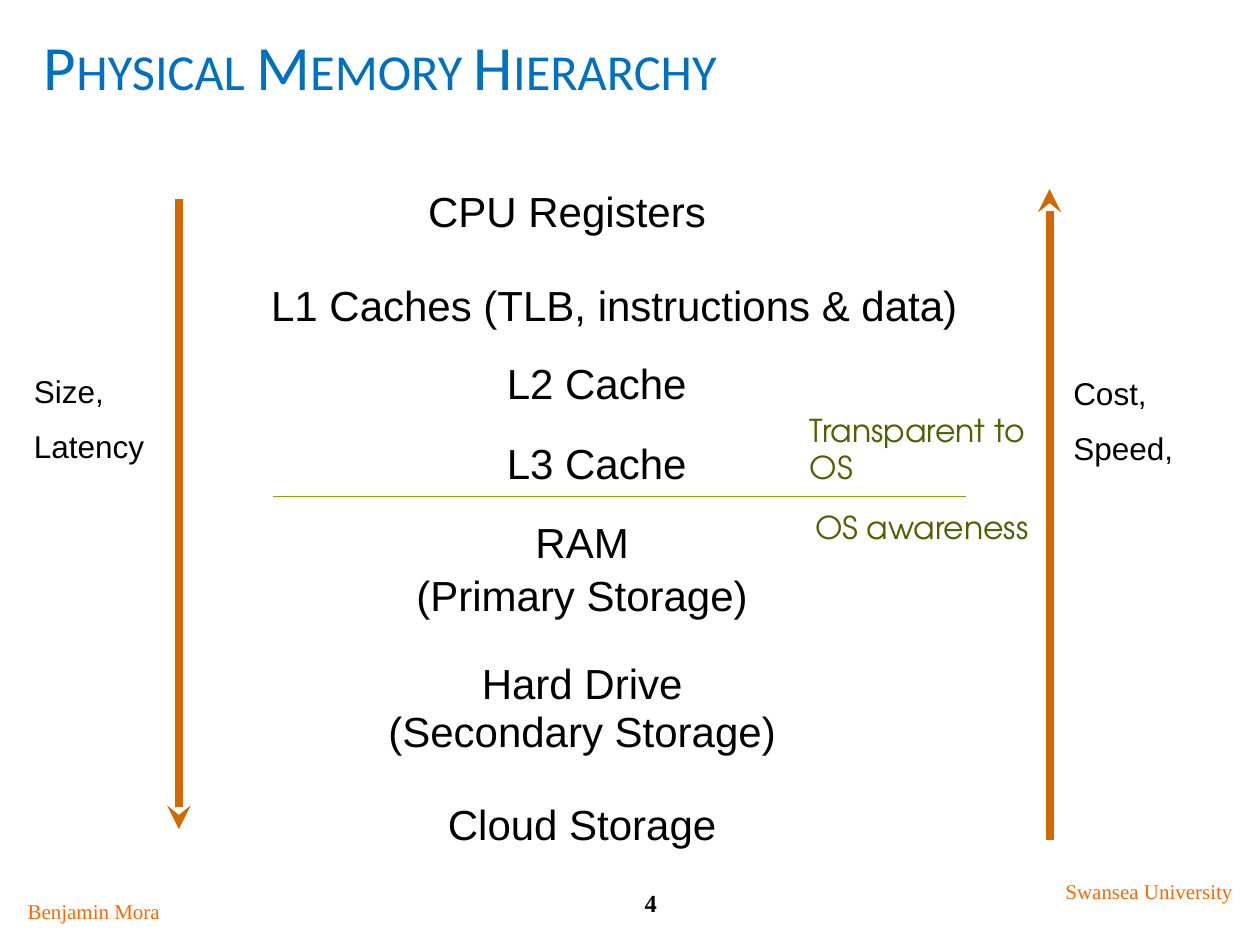
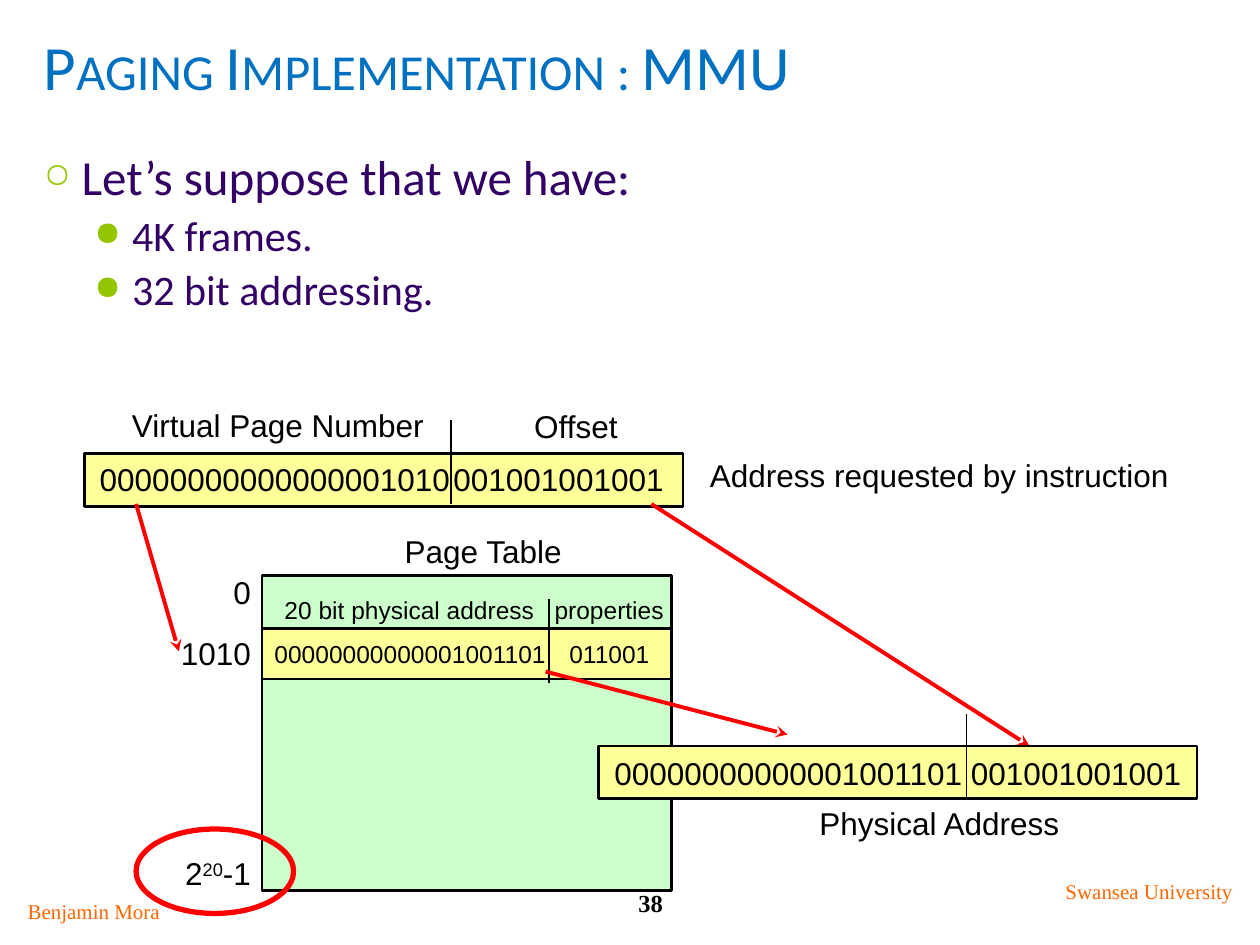
from dataclasses import dataclass
from typing import Optional

from lxml.etree import SubElement
from pptx import Presentation
from pptx.dml.color import RGBColor
from pptx.enum.shapes import MSO_CONNECTOR, MSO_SHAPE
from pptx.enum.text import MSO_ANCHOR, PP_ALIGN
from pptx.oxml.ns import qn
from pptx.slide import Slide
from pptx.util import Inches, Pt

COLORS = {
    "title": "0070C0",
    "body": "320064",
    "bullet": "94C600",
    "footer": "FF6600",
    "black": "000000",
    "scale": "D26900",
    "divider": "7FAA00",
    "awareness": "4A6300",
    "address": "FFFF99",
    "table": "CCFFCC",
    "red": "FF0000",
}
LEFT, CENTER, RIGHT = PP_ALIGN.LEFT, PP_ALIGN.CENTER, PP_ALIGN.RIGHT


def rgb(name: str) -> RGBColor:
    return RGBColor.from_string(COLORS[name])


@dataclass(frozen=True)
class TextStyle:
    size: float
    font: str = "Arial"
    color: str = "black"
    bold: bool = False
    small_caps: bool = False


TITLE = TextStyle(36, "Calibri", "title", small_caps=True)
PAGE_NUMBER = TextStyle(14, "Times New Roman", bold=True)
FOOTER = TextStyle(12, "Times New Roman", "footer")
STAGE = TextStyle(24)
NORMAL = TextStyle(18)
SMALL = TextStyle(14)
AWARENESS = TextStyle(18, "TeX Gyre Adventor", "awareness")


def add_span(para, text: str, style: TextStyle, raised: bool = False) -> None:
    span = para.add_run()
    span.text = text
    values = {"size": Pt(style.size), "name": style.font, "bold": style.bold}
    for name, value in values.items():
        setattr(span.font, name, value)
    span.font.color.rgb = rgb(style.color)
    properties = span._r.get_or_add_rPr()
    if style.small_caps:
        properties.set("cap", "small")
    if raised:
        properties.set("baseline", "30000")


def clear_effects(shape) -> None:
    SubElement(shape._element.spPr, qn("a:effectLst"))


@dataclass(frozen=True)
class Label:
    text: str
    left: float
    top: float
    width: float
    height: float
    style: TextStyle = NORMAL
    align: PP_ALIGN = CENTER
    gap: float = 0
    line_spacing: float = 1.0

    def draw(self, page: Slide) -> None:
        box = page.shapes.add_textbox(
            Inches(self.left), Inches(self.top), Inches(self.width), Inches(self.height)
        )
        frame = box.text_frame
        frame.word_wrap = True
        for number, line in enumerate(self.text.split("\n")):
            para = frame.add_paragraph() if number else frame.paragraphs[0]
            values = {
                "alignment": self.align,
                "line_spacing": self.line_spacing,
                "space_before": Pt(self.gap if number else 0),
            }
            for name, value in values.items():
                setattr(para, name, value)
            for position, part in enumerate(line.split("^")):
                add_span(para, part, self.style, raised=position % 2 == 1)


@dataclass(frozen=True)
class Block:
    left: float
    top: float
    width: float
    height: float
    fill: Optional[str] = "address"
    line: str = "black"
    weight: float = 1.5
    preset: MSO_SHAPE = MSO_SHAPE.RECTANGLE
    text: str = ""

    def draw(self, page: Slide) -> None:
        shape = page.shapes.add_shape(
            self.preset,
            Inches(self.left), Inches(self.top), Inches(self.width), Inches(self.height),
        )
        shape.shadow.inherit = False
        if self.fill:
            shape.fill.solid()
            shape.fill.fore_color.rgb = rgb(self.fill)
        else:
            shape.fill.background()
        shape.line.color.rgb = rgb(self.line)
        shape.line.width = Pt(self.weight)
        if self.text:
            frame = shape.text_frame
            frame.word_wrap = False
            frame.vertical_anchor = MSO_ANCHOR.MIDDLE
            frame.paragraphs[0].alignment = CENTER
            add_span(frame.paragraphs[0], self.text, NORMAL)


@dataclass(frozen=True)
class Stroke:
    start: tuple[float, float]
    end: tuple[float, float]
    color: str = "black"
    weight: float = 1
    arrow: bool = False

    def draw(self, page: Slide) -> None:
        connector = page.shapes.add_connector(
            MSO_CONNECTOR.STRAIGHT, *(Inches(value) for value in self.start + self.end)
        )
        connector.line.color.rgb = rgb(self.color)
        connector.line.width = Pt(self.weight)
        if self.arrow:
            SubElement(connector.line._get_or_add_ln(), qn("a:tailEnd"), type="stealth")
        clear_effects(connector)


def scale_arrow(x: float, start: float, end: float) -> Stroke:
    return Stroke((x, start), (x, end), "scale", 4.5, True)


def red_arrow(start: tuple[float, float], end: tuple[float, float]) -> Stroke:
    return Stroke(start, end, "red", 2.25, True)


def separator(x: float, top: float) -> Stroke:
    return Stroke((x, top), (x, top + 0.67))


@dataclass(frozen=True)
class Bullet:
    text: str
    level: int
    size: float
    indent: float
    symbol: str
    symbol_percent: int
    space_before: float


BULLETS = [
    Bullet("Let’s suppose that we have:", 0, 28, 0.3, "○", 70, 0),
    *(
        Bullet(text, 1, 24, 0.7, "●", 80, 5)
        for text in ("4K frames.", "32 bit addressing.")
    ),
]


def draw_bullets(page: Slide, bullets: list[Bullet]) -> None:
    box = page.shapes.add_textbox(Inches(0.25), Inches(1.17), Inches(9.67), Inches(5.75))
    frame = box.text_frame
    frame.word_wrap = True
    for number, bullet in enumerate(bullets):
        para = frame.add_paragraph() if number else frame.paragraphs[0]
        properties = para._p.get_or_add_pPr()
        properties.set("marL", str(Inches(bullet.indent)))
        properties.set("indent", str(Inches(-0.3)))
        color = SubElement(properties, qn("a:buClr"))
        SubElement(color, qn("a:srgbClr"), val=COLORS["bullet"])
        SubElement(properties, qn("a:buSzPct"), val=str(bullet.symbol_percent * 1000))
        SubElement(properties, qn("a:buChar"), char=bullet.symbol)
        values = {
            "level": bullet.level,
            "line_spacing": 0.9,
            "space_before": Pt(bullet.space_before),
        }
        for name, value in values.items():
            setattr(para, name, value)
        add_span(para, bullet.text, TextStyle(bullet.size, "Calibri", "body"))


HIERARCHY = [
    Label("CPU Registers", 3.25, 1.42, 2.5, 0.51, STAGE),
    Label("L1 Caches (TLB, instructions & data)", 2, 2.17, 5.75, 0.5, STAGE),
    *(
        Label(f"L{level} Cache", 3.44, top, 2.59, 0.5, STAGE)
        for level, top in ((2, 2.79), (3, 3.42))
    ),
    Label("RAM\n(Primary Storage)", 2.08, 4.05, 5.08, 0.9, STAGE, gap=1.5),
    Label("Hard Drive\n(Secondary Storage)", 2.08, 5.2, 5.08, 0.85, STAGE, line_spacing=0.95),
    Label("Cloud Storage", 2.08, 6.29, 5.08, 0.5, STAGE),
    scale_arrow(1.42, 1.58, 6.58),
    scale_arrow(8.33, 6.67, 1.5),
    Label("Size,\nLatency", 0.17, 2.9, 2.33, 0.85, align=LEFT, gap=10),
    Label("Cost,\nSpeed,", 8.42, 2.92, 1.5, 0.85, align=LEFT, gap=10),
    Stroke((2.17, 3.94), (7.67, 3.94), "divider"),
    Label("OS awareness", 6.37, 3.98, 1.92, 0.4, AWARENESS, LEFT),
    Label("Transparent to OS", 6.33, 3.21, 1.92, 0.71, AWARENESS, LEFT),
]

PAGING = [
    Block(0.67, 3.6, 4.75, 0.42),
    Label("00000000000000001010", 0.42, 3.6, 3.25, 0.4, align=RIGHT),
    Label("001001001001", 3.5, 3.6, 2.42, 0.4, align=LEFT),
    separator(3.58, 3.33),
    Label("Virtual Page Number", 0.58, 3.17, 3.25, 0.4),
    Label("Offset", 4.08, 3.18, 0.92, 0.4, align=RIGHT),
    Block(2.08, 4.57, 3.25, 2.5, "table"),
    Label("Page Table", 2.92, 4.17, 1.83, 0.4),
    *(
        Label(index, 0.67, top, 1.42, 0.4, align=RIGHT)
        for index, top in (("0", 4.5), ("1010", 4.98), ("2^20^-1", 6.73))
    ),
    Label("20 bit physical address", 2, 4.67, 2.5, 0.33, SMALL),
    Label("properties", 4.17, 4.67, 1.33, 0.33, SMALL),
    Block(2.08, 4.99, 3.25, 0.4),
    Label("00000000000001001101", 2.08, 5.02, 2.58, 0.33, SMALL, LEFT),
    Label("011001", 4.42, 5.02, 0.92, 0.33, SMALL, LEFT),
    separator(4.36, 4.75),
    red_arrow((1.08, 4), (1.42, 5.17)),
    red_arrow((5.17, 4), (8.17, 5.92)),
    red_arrow((4.33, 5.33), (6.25, 5.83)),
    Block(4.75, 5.92, 4.75, 0.42, text="00000000000001001101 001001001001"),
    Label("Physical Address", 5.83, 6.33, 3.25, 0.4),
    separator(7.67, 5.67),
    Label("Address requested by instruction", 5.29, 3.57, 4.33, 0.4),
    Block(1.08, 6.58, 1.25, 0.67, None, "red", 3, MSO_SHAPE.OVAL),
]


def add_page(deck, title: str, number: int) -> Slide:
    page = deck.slides.add_slide(deck.slide_layouts[6])
    for label in (
        Label(title, 0.25, 0.17, 9.5, 0.92, TITLE, LEFT),
        Label(str(number), 4.5, 7, 1.33, 0.33, PAGE_NUMBER),
        Label("Benjamin Mora", 0.08, 7.08, 1.33, 0.3, FOOTER),
        Label("Swansea University", 8.33, 6.92, 1.58, 0.3, FOOTER),
    ):
        label.draw(page)
    return page


def main() -> None:
    deck = Presentation()
    deck.slide_width, deck.slide_height = Inches(10), Inches(7.5)

    hierarchy_page = add_page(deck, "Physical Memory Hierarchy", 4)
    for item in HIERARCHY:
        item.draw(hierarchy_page)

    paging_page = add_page(deck, "Paging Implementation : MMU", 38)
    draw_bullets(paging_page, BULLETS)
    for item in PAGING:
        item.draw(paging_page)

    deck.save("out.pptx")


if __name__ == "__main__":
    main()
